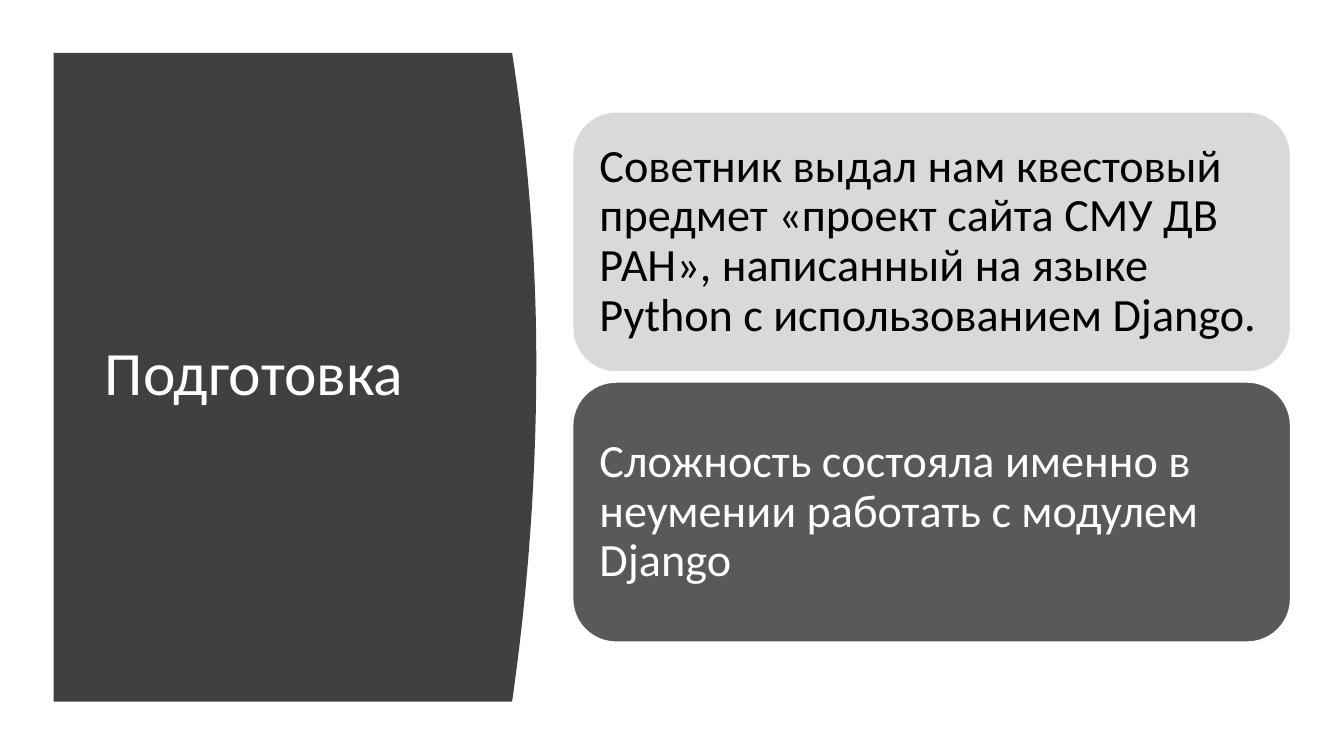
from pptx import Presentation
from pptx.dml.color import RGBColor
from pptx.enum.shapes import MSO_SHAPE as Preset
from pptx.enum.text import MSO_ANCHOR as Anchor, PP_ALIGN as Align
from pptx.util import Inches, Pt

COLORS = {
    "panel": "404040",
    "light": "D9D9D9",
    "dark": "595959",
    "black": "000000",
    "white": "FFFFFF",
}
WIDTH, HEIGHT = 13.33, 7.5
TITLE_ONLY = 5


class Deck:
    font = "Calibri"

    def __init__(self):
        self.file = Presentation()
        self.file.slide_width = Inches(WIDTH)
        self.file.slide_height = Inches(HEIGHT)
        self.slide = self.file.slides.add_slide(self.file.slide_layouts[TITLE_ONLY])

    def color(self, name):
        return RGBColor.from_string(COLORS[name])

    def paint(self, shape, fill, line=None):
        shape.shadow.inherit = False
        shape.fill.solid()
        shape.fill.fore_color.rgb = self.color(fill)
        if line:
            shape.line.color.rgb = self.color(line)
            shape.line.width = Pt(1)
        else:
            shape.line.fill.background()

    def set_text(self, shape, words, size, color, **margins):
        frame = shape.text_frame
        frame.text = words
        layout = {"word_wrap": True, "vertical_anchor": Anchor.MIDDLE, **margins}
        for name, value in layout.items():
            setattr(frame, name, value)
        paragraph = frame.paragraphs[0]
        for name, value in {"alignment": Align.LEFT, "line_spacing": 0.9}.items():
            setattr(paragraph, name, value)
        font = paragraph.runs[0].font
        for name, value in {"name": self.font, "size": Pt(size)}.items():
            setattr(font, name, value)
        font.color.rgb = self.color(color)

    def bulging_panel(self, left, top, bottom, edge, apex, apex_y, fill, steps=20):
        """Draw a panel whose right side is two half parabolas meeting at the apex."""
        def side(end, share):
            x = apex - (apex - edge) * share ** 2
            return Inches(x), Inches(apex_y + (end - apex_y) * share)

        upper = [side(top, 1 - i / steps) for i in range(steps)]
        lower = [side(bottom, i / steps) for i in range(steps + 1)]
        outline = self.slide.shapes.build_freeform(Inches(left), Inches(top))
        outline.add_line_segments(
            upper + lower + [(Inches(left), Inches(bottom))], close=True)
        self.paint(outline.convert_to_shape(), fill)

    def title(self, words, left, top, width, height):
        heading = self.slide.shapes.title
        box = {"left": left, "top": top, "width": width, "height": height}
        for name, value in box.items():
            setattr(heading, name, Inches(value))
        self.set_text(heading, words, 44, "white")
        # The title is lifted above the panel drawn before it
        tree = heading.element.getparent()
        tree.append(heading.element)

    def card(self, words, left, top, width, height, fill, color):
        card = self.slide.shapes.add_shape(
            Preset.ROUNDED_RECTANGLE, *map(Inches, (left, top, width, height)))
        self.paint(card, fill, "white")
        sides = ("left", "top", "right", "bottom")
        self.set_text(card, words, 33, color,
                      **{f"margin_{side}": Inches(0.14) for side in sides})


def main():
    deck = Deck()
    margin = 0.07 * HEIGHT
    deck.bulging_panel(left=0.04 * WIDTH, top=margin, bottom=HEIGHT - 0.54,
                       edge=5.08, apex=5.32, apex_y=0.48 * HEIGHT, fill="panel")
    content_top = 1.11
    deck.title("Подготовка", 0.94, content_top, 3.74, 5.24)

    card_height, gap = 2.58, 0.1
    cards = [
        ("Советник выдал нам квестовый предмет «проект сайта СМУ ДВ РАН», "
         "написанный на языке Python с использованием Django.", "light", "black"),
        ("Сложность состояла именно в неумении работать с модулем Django",
         "dark", "white"),
    ]
    for row, (words, fill, color) in enumerate(cards):
        top = content_top + row * (card_height + gap)
        deck.card(words, 5.68, top, 7.12, card_height, fill, color)
    deck.file.save("out.pptx")


if __name__ == "__main__":
    main()
